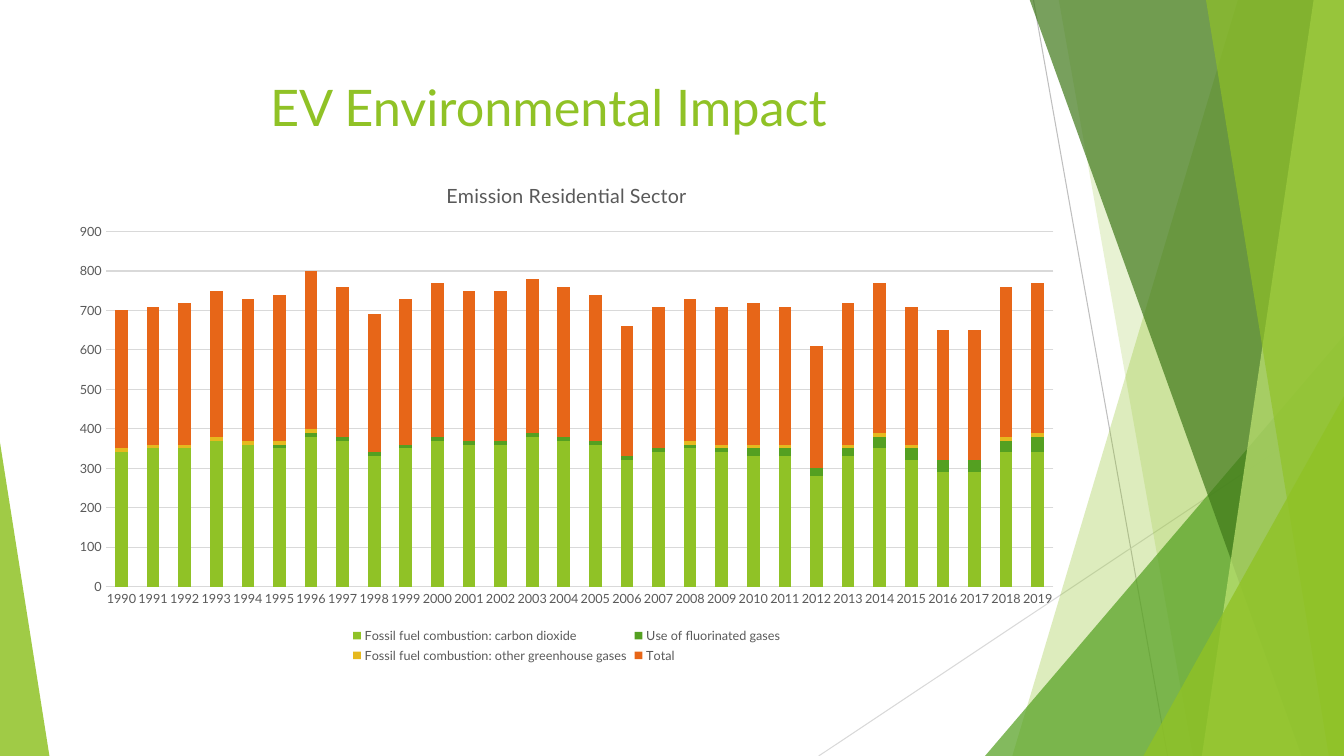
from lxml import etree
from pptx import Presentation
from pptx.chart.data import CategoryChartData
from pptx.dml.color import RGBColor
from pptx.enum.chart import XL_CHART_TYPE as ChartType
from pptx.enum.chart import XL_LEGEND_POSITION as LegendPosition
from pptx.enum.chart import XL_TICK_MARK as TickMark
from pptx.enum.shapes import MSO_CONNECTOR as Connector
from pptx.enum.shapes import MSO_SHAPE as Shape
from pptx.enum.text import MSO_ANCHOR as Anchor
from pptx.enum.text import PP_ALIGN as Align
from pptx.oxml.ns import qn
from pptx.util import Inches, Pt

GREEN, LEAF, FOREST, LIME = "90C226", "54A021", "3F7819", "C0E474"
GOLD, ORANGE = "E6B91E", "E76618"
GREY, PALE_GREY, MID_GREY = "595959", "D9D9D9", "BFBFBF"
WIDTH, HEIGHT, TOP = 13.33, 7.5, -0.01


def rgb(color):
    return RGBColor.from_string(color)


class SlideBuilder:
    font_name = "Lato"

    def __init__(self, slide):
        self.slide = slide
        self.shapes = slide.shapes

    def style_font(self, font, size, color):
        font.name, font.size, font.bold = self.font_name, Pt(size), False
        font.color.rgb = rgb(color)

    def style_line(self, line, color):
        line.color.rgb = rgb(color)
        line.width = Pt(0.75)

    def fill(self, shape, color, opacity):
        shape.shadow.inherit = False
        shape.line.fill.background()
        shape.fill.solid()
        shape.fill.fore_color.rgb = rgb(color)
        srgb = shape.fill._xPr.find(".//" + qn("a:srgbClr"))
        etree.SubElement(srgb, qn("a:alpha"), val=str(opacity * 1000))

    def line(self, start, end, color):
        connector = self.shapes.add_connector(
            Connector.STRAIGHT, *(Inches(v) for v in start + end))
        self.style_line(connector.line, color)
        etree.SubElement(connector._element.spPr, qn("a:effectLst"))

    def band(self, top_x, bottom_x, color, opacity):
        """A slanted left edge, filled out to the right side of the slide."""
        corners = [(top_x, TOP), (WIDTH, TOP), (WIDTH, HEIGHT), (bottom_x, HEIGHT)]
        points = [(Inches(x), Inches(y)) for x, y in corners]
        outline = self.shapes.build_freeform(*points[0])
        outline.add_line_segments(points[1:])
        self.fill(outline.convert_to_shape(), color, opacity)

    def triangle(self, left, top, width, apex, color, opacity):
        """A triangle that stands on the bottom edge of the slide."""
        shape = self.shapes.add_shape(
            Shape.ISOSCELES_TRIANGLE, Inches(left), Inches(top),
            Inches(width), Inches(HEIGHT - top))
        shape.adjustments[0] = apex
        self.fill(shape, color, opacity)

    def title(self, text, left, top, width, height):
        heading = self.shapes.title
        heading.left, heading.top = Inches(left), Inches(top)
        heading.width, heading.height = Inches(width), Inches(height)
        frame = heading.text_frame
        frame.text = text
        frame.vertical_anchor = Anchor.MIDDLE
        frame.paragraphs[0].alignment = Align.CENTER
        self.style_font(frame.paragraphs[0].font, 36, GREEN)

    def stacked_chart(self, heading, categories, series, left, top, width, height):
        data = CategoryChartData()
        data.categories = categories
        for name, _, values in series:
            data.add_series(name, values)
        chart = self.shapes.add_chart(
            ChartType.COLUMN_STACKED, Inches(left), Inches(top),
            Inches(width), Inches(height), data).chart
        self.style_font(chart.font, 10, "000000")

        chart.has_title = True
        chart.chart_title.include_in_layout = False
        chart.chart_title.text_frame.text = heading
        self.style_font(chart.chart_title.text_frame.paragraphs[0].font, 14, GREY)

        chart.has_legend = True
        chart.legend.position = LegendPosition.BOTTOM
        chart.legend.include_in_layout = False
        self.style_font(chart.legend.font, 9, GREY)

        for axis in (chart.category_axis, chart.value_axis):
            axis.major_tick_mark = axis.minor_tick_mark = TickMark.NONE
            self.style_font(axis.tick_labels.font, 9, GREY)
        self.style_line(chart.category_axis.format.line, PALE_GREY)
        chart.value_axis.format.line.fill.background()
        chart.value_axis.minimum_scale = 0
        chart.value_axis.maximum_scale = 900
        chart.value_axis.major_unit = 100
        self.style_line(chart.value_axis.major_gridlines.format.line, PALE_GREY)

        plot = chart.plots[0]
        plot.gap_width, plot.overlap = 150, 100
        plot.vary_by_categories = False
        for column, (_, color, _) in zip(plot.series, series):
            column.format.fill.solid()
            column.format.fill.fore_color.rgb = rgb(color)
            column.invert_if_negative = False


# Emissions by source, 1990 to 2019
YEARS = [str(year) for year in range(1990, 2020)]
EMISSIONS = [
    ("Fossil fuel combustion: carbon dioxide", GREEN,
     [340, 350, 350, 370, 360, 350, 380, 370, 330, 350,
      370, 360, 360, 380, 370, 360, 320, 340, 350, 340,
      330, 330, 280, 330, 350, 320, 290, 290, 340, 340]),
    ("Use of fluorinated gases", LEAF,
     [0] * 5 + [10] * 15 + [20] * 4 + [30] * 5 + [40]),
    ("Fossil fuel combustion: other greenhouse gases", GOLD,
     [10] * 7 + [0] * 11 + [10] * 4 + [0] + [10] * 3 + [0] * 2 + [10] * 2),
    ("Total", ORANGE,
     [350, 350, 360, 370, 360, 370, 400, 380, 350, 370,
      390, 380, 380, 390, 380, 370, 330, 360, 360, 350,
      360, 350, 310, 360, 380, 350, 330, 330, 380, 380]),
]


def main():
    deck = Presentation()
    deck.slide_width, deck.slide_height = Inches(WIDTH), Inches(HEIGHT)
    builder = SlideBuilder(deck.slides.add_slide(deck.slide_layouts[5]))

    # Green facets at the sides
    builder.line((10.25, 0), (11.58, HEIGHT), MID_GREY)
    builder.line((WIDTH, 4.03), (8.12, HEIGHT), PALE_GREY)
    builder.band(12.28, 10.04, GREEN, 30)
    builder.band(10.5, 11.83, GREEN, 20)
    builder.triangle(9.77, 3.33, 3.56, 1, LEAF, 72)
    builder.band(10.21, 12.91, FOREST, 70)
    builder.band(13.03, 11.92, LIME, 70)
    builder.band(11.96, 13.18, GREEN, 65)
    builder.triangle(11.34, 3.93, 1.99, 1, GREEN, 80)
    builder.triangle(0, 4.39, 0.49, 0, GREEN, 85)

    # Title and chart
    builder.title("EV Environmental Impact", 0.74, 0.67, 9.4, 0.77)
    builder.stacked_chart("Emission Residential Sector", YEARS, EMISSIONS,
                          0.59, 1.61, 10.06, 5.01)

    deck.save("out.pptx")


if __name__ == "__main__":
    main()
